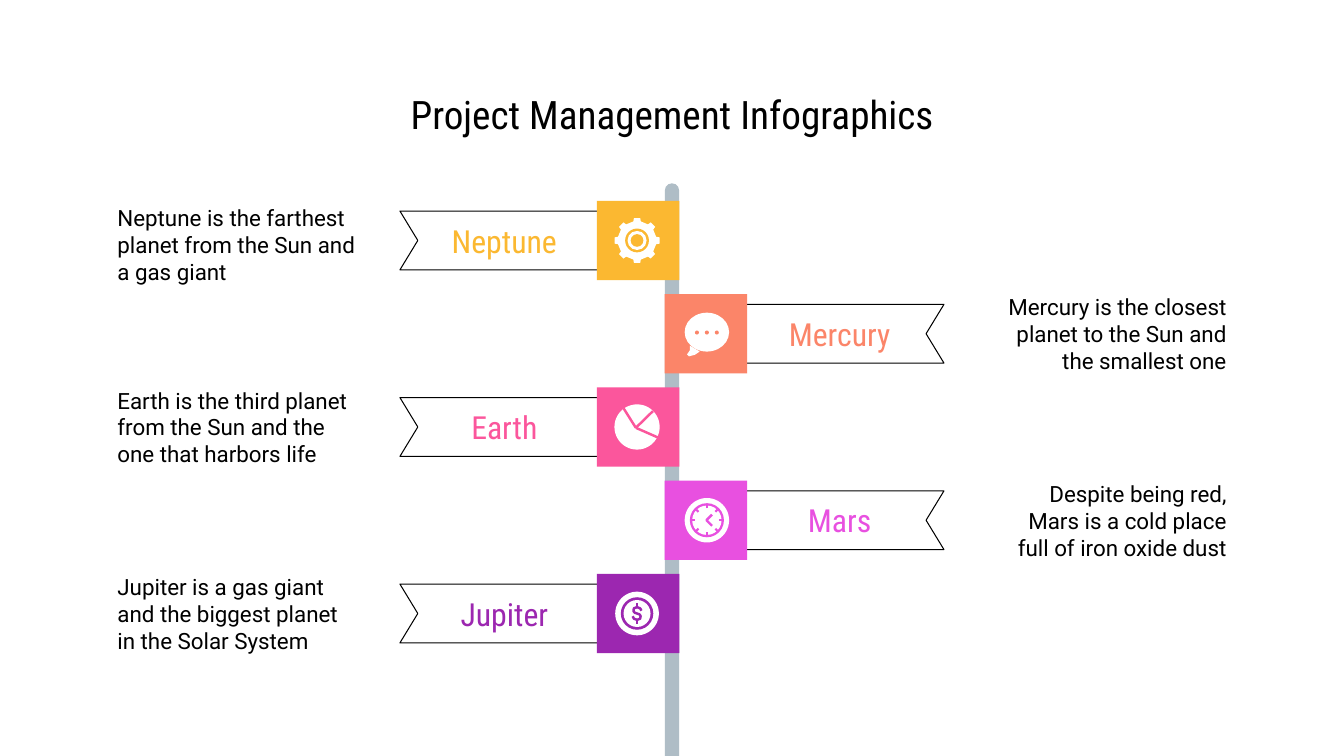
from math import cos, radians, sin
from lxml.etree import SubElement
from pptx import Presentation
from pptx.dml.color import RGBColor
from pptx.enum.shapes import MSO_CONNECTOR, MSO_SHAPE
from pptx.enum.text import MSO_ANCHOR, PP_ALIGN
from pptx.oxml.ns import qn
from pptx.util import Cm, Pt

TITLE = "Project Management Infographics"
# label, colour, icon, description, downward shift of the description in cm
SIGNS = [
    ("Neptune", "FBB831", "gear",
     "Neptune is the farthest planet from the Sun and a gas giant", 0.1),
    ("Mercury", "FB8569", "chat",
     "Mercury is the closest planet to the Sun and the smallest one", 0),
    ("Earth", "FB569C", "pie",
     "Earth is the third planet from the Sun and the one that harbors life", 0),
    ("Mars", "E850E0", "clock",
     "Despite being red,\nMars is a cold place\nfull of iron oxide dust", 0),
    ("Jupiter", "9C27B0", "dollar",
     "Jupiter is a gas giant and the biggest planet in the Solar System", 0),
]
BLACK, WHITE, POST = "000000", "FFFFFF", "AFBDC6"
BODY, HEAD = "Roboto", "Roboto Condensed"

# Lengths in cm
WIDTH, HEIGHT = 33.87, 19.05
MIDDLE = WIDTH / 2
POST_W, POST_TOP = 0.36, 4.62
FIRST_TOP, PITCH = 5.06, 2.35
BOX_LEFT, BOX_W, BOX_H = 15.04, 2.08, 2
TAG_LEFT, TAG_W, TAG_H, NOTCH = 10.08, 5.26, 1.48, 0.45
TEXT_LEFT, TEXT_W = 2.64, 6.71
ICON_OFFSET = 0.88

# Icon outlines, in cm from the icon centre
CHAT_TAIL = [(-0.43, 0.3), (-0.43, 0.42), (-0.5, 0.52), (-0.45, 0.57),
             (-0.3, 0.53), (-0.18, 0.45)]
PIE_HUB = (-0.03, 0.02)
PIE_CUTS = [(-0.34, -0.47), (0.4, -0.4), (0.54, 0.27)]
CLOCK_HANDS = [(0.13, -0.14), (-0.01, 0), (0.13, 0.14)]
S_HALF = [(0.11, -0.07), (0.08, -0.13), (0, -0.16),
          (-0.08, -0.13), (-0.09, -0.06), (-0.06, -0.02)]
DOLLAR_S = S_HALF + [(-x, -y) for x, y in reversed(S_HALF)]

prs = Presentation()
prs.slide_width, prs.slide_height = Cm(WIDTH), Cm(HEIGHT)
s = prs.slides.add_slide(prs.slide_layouts[6])


def rgb(color):
    return RGBColor.from_string(color)


def paint(sp, fill=None, line=None, width=0.75):
    sp.shadow.inherit = False
    if fill:
        sp.fill.solid()
        sp.fill.fore_color.rgb = rgb(fill)
    else:
        sp.fill.background()
    if line:
        sp.line.color.rgb = rgb(line)
        sp.line.width = Pt(width)
    else:
        sp.line.fill.background()
    return sp


def preset(kind, x, y, w, h, fill):
    return paint(s.shapes.add_shape(kind, Cm(x), Cm(y), Cm(w), Cm(h)), fill)


def ellipse(cx, cy, rx, ry, fill):
    preset(MSO_SHAPE.OVAL, cx - rx, cy - ry, 2 * rx, 2 * ry, fill)


def discs(cx, cy, radii, colors):
    """Stack concentric circles, largest first."""
    for i, radius in enumerate(radii):
        ellipse(cx, cy, radius, radius, colors[i % 2])


def outline(points, cx=0, cy=0, close=True, **look):
    pts = [(Cm(cx + x), Cm(cy + y)) for x, y in points]
    builder = s.shapes.build_freeform(*pts[0])
    builder.add_line_segments(pts[1:], close=close)
    return paint(builder.convert_to_shape(), **look)


def stroke(cx, cy, start, end, color, width):
    ends = [Cm(v) for v in (cx + start[0], cy + start[1], cx + end[0], cy + end[1])]
    line = s.shapes.add_connector(MSO_CONNECTOR.STRAIGHT, *ends)
    line.line.color.rgb = rgb(color)
    line.line.width = Pt(width)
    SubElement(line._element.spPr, qn("a:effectLst"))


def write(sp, text, size, font, color, align):
    tf = sp.text_frame
    tf.word_wrap = True
    tf.vertical_anchor = MSO_ANCHOR.MIDDLE
    tf.margin_left = tf.margin_right = tf.margin_top = tf.margin_bottom = Cm(0.32)
    p = tf.paragraphs[0]
    p.text = text
    p.alignment = align
    for r in p.runs:
        r.font.size, r.font.name = Pt(size), font
        r.font.color.rgb = rgb(color)


def text_box(x, y, w, h, *style):
    write(s.shapes.add_textbox(Cm(x), Cm(y), Cm(w), Cm(h)), *style)


def polar(radius, degrees):
    return radius * cos(radians(degrees)), radius * sin(radians(degrees))


def gear(cx, cy, color):
    teeth = [polar(radius, 45 * k + turn) for k in range(8)
             for radius, turn in ((0.49, -11), (0.57, -8), (0.57, 8), (0.49, 11))]
    outline(teeth, cx, cy, fill=WHITE)
    discs(cx, cy, (0.3, 0.24, 0.16), (color, WHITE))


def chat(cx, cy, color):
    outline(CHAT_TAIL, cx, cy, fill=WHITE)
    ellipse(cx, cy - 0.04, 0.56, 0.49, WHITE)
    for dx in (-0.25, 0, 0.25):
        ellipse(cx + dx, cy - 0.03, 0.05, 0.05, color)


def pie(cx, cy, color):
    discs(cx, cy, (0.57,), (WHITE,))
    for end in PIE_CUTS:
        stroke(cx, cy, PIE_HUB, end, color, 1.75)


def clock(cx, cy, color):
    discs(cx, cy, (0.56, 0.43, 0.37), (WHITE, color))
    for k in range(8):
        stroke(cx, cy, polar(0.3, 45 * k), polar(0.38, 45 * k), color, 1.5)
    outline(CLOCK_HANDS, cx, cy, close=False, line=color, width=1.75)


def dollar(cx, cy, color):
    discs(cx, cy, (0.55, 0.41, 0.34), (WHITE, color))
    outline(DOLLAR_S, cx, cy, close=False, line=color, width=1.75)
    for side in (-1, 1):
        stroke(cx, cy, (0, 0.16 * side), (0, 0.27 * side), color, 1.75)


ICONS = {"gear": gear, "chat": chat, "pie": pie, "clock": clock, "dollar": dollar}


def sign(i, label, color, icon, description, shift):
    """Draw one signpost row; odd rows mirror the even ones."""
    on_right = i % 2 == 1
    top = FIRST_TOP + i * PITCH

    def place(x, w=0):
        return WIDTH - x - w if on_right else x

    tag_top, tag_end = top + (BOX_H - TAG_H) / 2, TAG_LEFT + TAG_W
    corners = [(tag_end, TAG_H), (TAG_LEFT, TAG_H), (TAG_LEFT + NOTCH, TAG_H / 2),
               (TAG_LEFT, 0), (tag_end, 0)]
    tag = outline([(place(x), tag_top + y) for x, y in corners], line=BLACK)
    write(tag, label, 22.7, HEAD, color, PP_ALIGN.CENTER)
    preset(MSO_SHAPE.RECTANGLE, place(BOX_LEFT, BOX_W), top, BOX_W, BOX_H, color)
    text_box(place(TEXT_LEFT, TEXT_W), top + shift, TEXT_W, BOX_H, description, 16,
             BODY, BLACK, PP_ALIGN.RIGHT if on_right else PP_ALIGN.LEFT)
    ICONS[icon](place(MIDDLE - ICON_OFFSET), top + BOX_H / 2, color)


text_box(TEXT_LEFT, 1.98, WIDTH - 2 * TEXT_LEFT, 1.78,
         TITLE, 28, HEAD, BLACK, PP_ALIGN.CENTER)
post = preset(MSO_SHAPE.ROUND_2_SAME_RECTANGLE, MIDDLE - POST_W / 2, POST_TOP,
              POST_W, HEIGHT - POST_TOP, POST)
post.adjustments[0] = 0.5
for i, row in enumerate(SIGNS):
    sign(i, *row)

prs.save("out.pptx")
